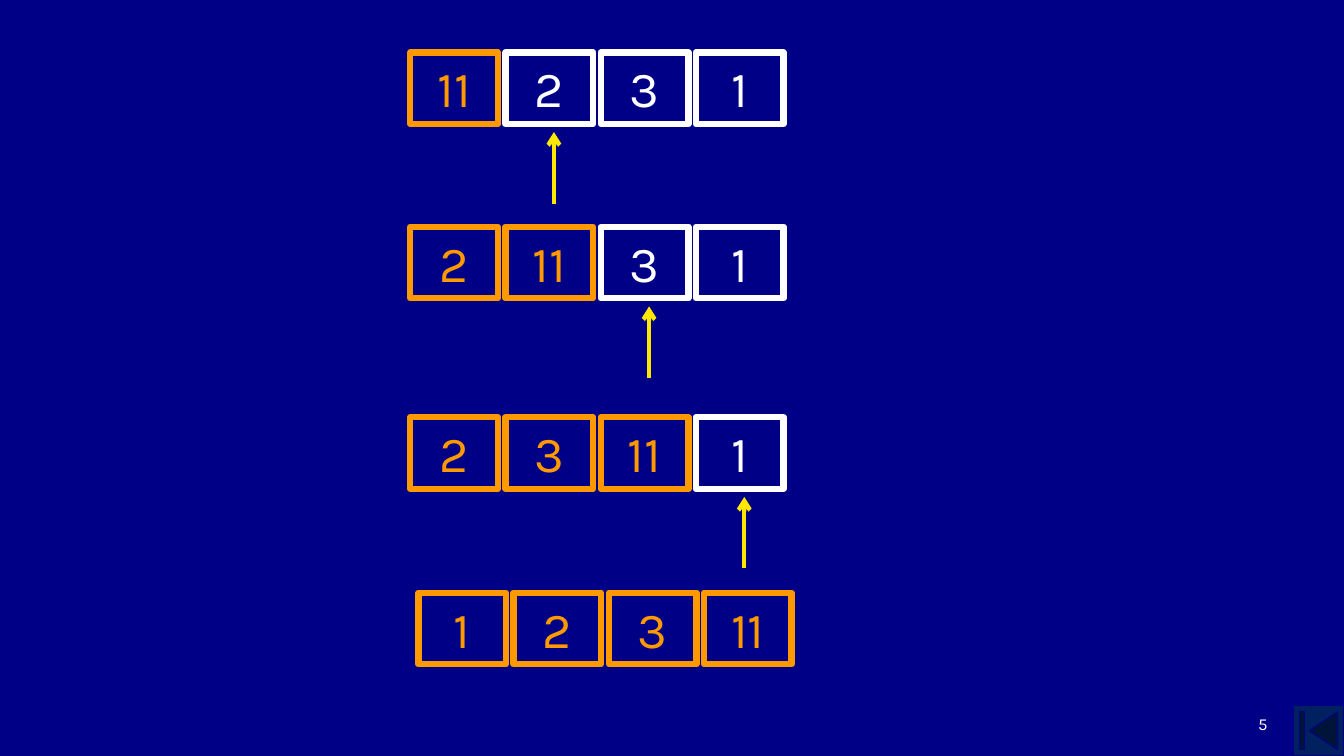
import dataclasses

import lxml.etree
import pptx
import pptx.dml.color
import pptx.enum.shapes
import pptx.enum.text
import pptx.oxml.ns
import pptx.util

Inches = pptx.util.Inches
Pt = pptx.util.Pt
SHAPE = pptx.enum.shapes.MSO_SHAPE
ALIGN = pptx.enum.text.PP_ALIGN
ANCHOR = pptx.enum.text.MSO_ANCHOR

FONT = "Karla"
NAVY, WHITE, ORANGE, YELLOW = "000086", "FFFFFF", "FF9900", "FFE701"
WIDTH, HEIGHT, PITCH = 0.87, 0.71, 0.944


@dataclasses.dataclass
class Step:
    """One pass of the insertion sort: the first `done` values are sorted."""
    left: float
    top: float
    values: tuple[int, ...]
    done: int


STEPS = [
    Step(4.07, 0.52, (11, 2, 3, 1), 1),
    Step(4.07, 2.25, (2, 11, 3, 1), 2),
    Step(4.07, 4.14, (2, 3, 11, 1), 3),
    Step(4.15, 5.88, (1, 2, 3, 11), 4),
]


def color(code: str) -> pptx.dml.color.RGBColor:
    return pptx.dml.color.RGBColor.from_string(code)


def write(shape, text: str, size: float, code: str, align, anchor) -> None:
    frame = shape.text_frame
    frame.text = text
    frame.word_wrap = True
    frame.vertical_anchor = anchor
    para = frame.paragraphs[0]
    para.alignment = align
    font = para.runs[0].font
    font.name, font.size = FONT, Pt(size)
    font.color.rgb = color(code)


def draw_box(group, left: float, top: float, value: int, code: str) -> None:
    box = group.shapes.add_shape(SHAPE.RECTANGLE, Inches(left), Inches(top),
                                 Inches(WIDTH), Inches(HEIGHT))
    box.shadow.inherit = False
    box.fill.background()
    box.line.color.rgb = color(code)
    box.line.width = Pt(4.5)
    write(box, str(value), 36, code, ALIGN.CENTER, ANCHOR.TOP)
    box.text_frame.auto_size = pptx.enum.text.MSO_AUTO_SIZE.SHAPE_TO_FIT_TEXT


def draw_arrow(slide, x: float, start: float, end: float) -> None:
    arrow = slide.shapes.add_connector(
        pptx.enum.shapes.MSO_CONNECTOR.STRAIGHT,
        Inches(x), Inches(start), Inches(x), Inches(end))
    arrow.line.color.rgb = color(YELLOW)
    arrow.line.width = Pt(3)
    qn = pptx.oxml.ns.qn
    lxml.etree.SubElement(arrow.line._get_or_add_ln(), qn("a:tailEnd"), type="arrow")
    lxml.etree.SubElement(arrow._element.spPr, qn("a:effectLst"))


def draw_step(slide, step: Step) -> None:
    group = slide.shapes.add_group_shape()
    for i, value in enumerate(step.values):
        code = ORANGE if i < step.done else WHITE
        draw_box(group, step.left + i * PITCH, step.top, value, code)
    # Point at the next value to insert
    if step.done < len(step.values):
        x = step.left + step.done * PITCH + 0.48
        draw_arrow(slide, x, step.top + 1.5, step.top + 0.79)


def main() -> None:
    deck = pptx.Presentation()
    deck.slide_width, deck.slide_height = Inches(13.33), Inches(7.5)
    slide = deck.slides.add_slide(deck.slide_layouts[6])
    slide.background.fill.solid()
    slide.background.fill.fore_color.rgb = color(NAVY)

    # Button back to the start
    button = slide.shapes.add_shape(SHAPE.ACTION_BUTTON_BEGINNING, Inches(12.83),
                                    Inches(7), Inches(0.5), Inches(0.5))
    button.shadow.inherit = False
    button.fill.solid()
    button.fill.fore_color.rgb = color("002060")
    button.line.color.rgb = color(NAVY)
    button.line.width = Pt(0.75)

    # Slide number
    number = slide.shapes.add_textbox(Inches(9.56), Inches(6.83),
                                      Inches(3.11), Inches(0.5))
    write(number, "5", 12, WHITE, ALIGN.RIGHT, ANCHOR.BOTTOM)

    # Sorting steps
    for step in STEPS:
        draw_step(slide, step)

    deck.save("out.pptx")


if __name__ == "__main__":
    main()
